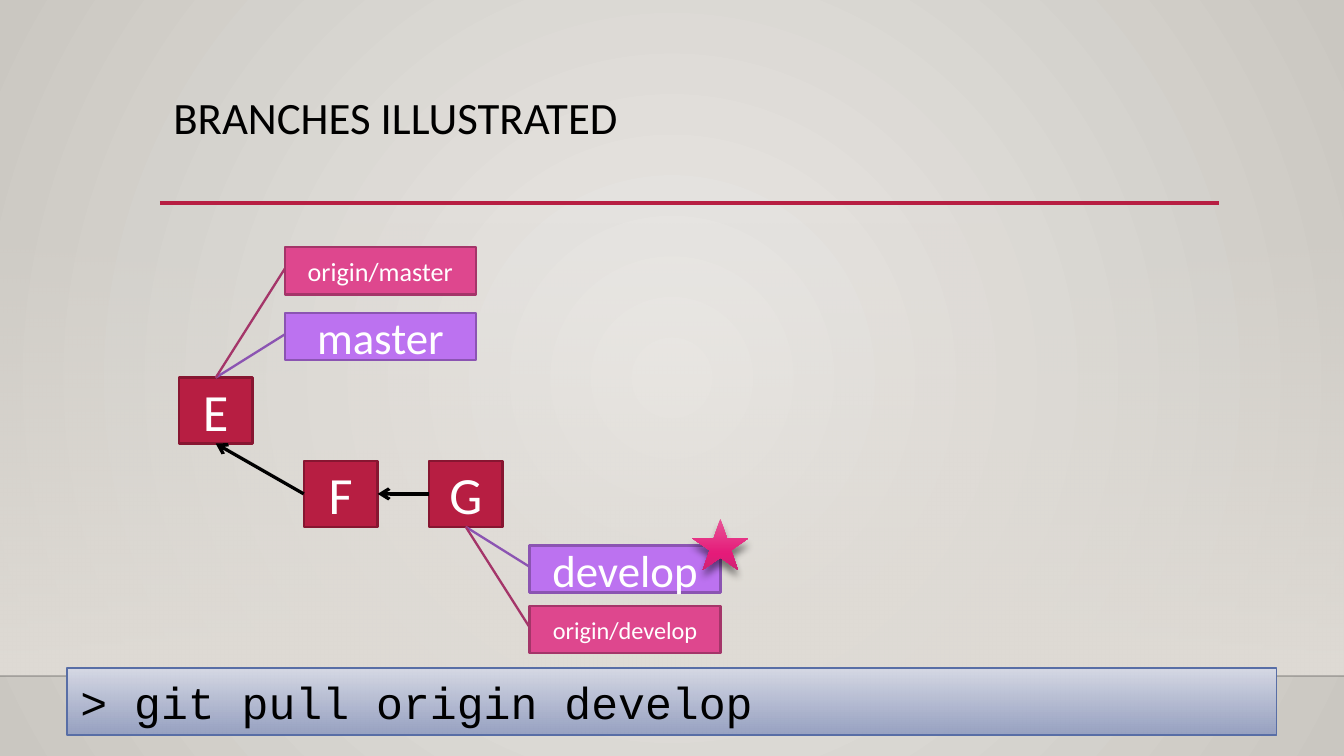
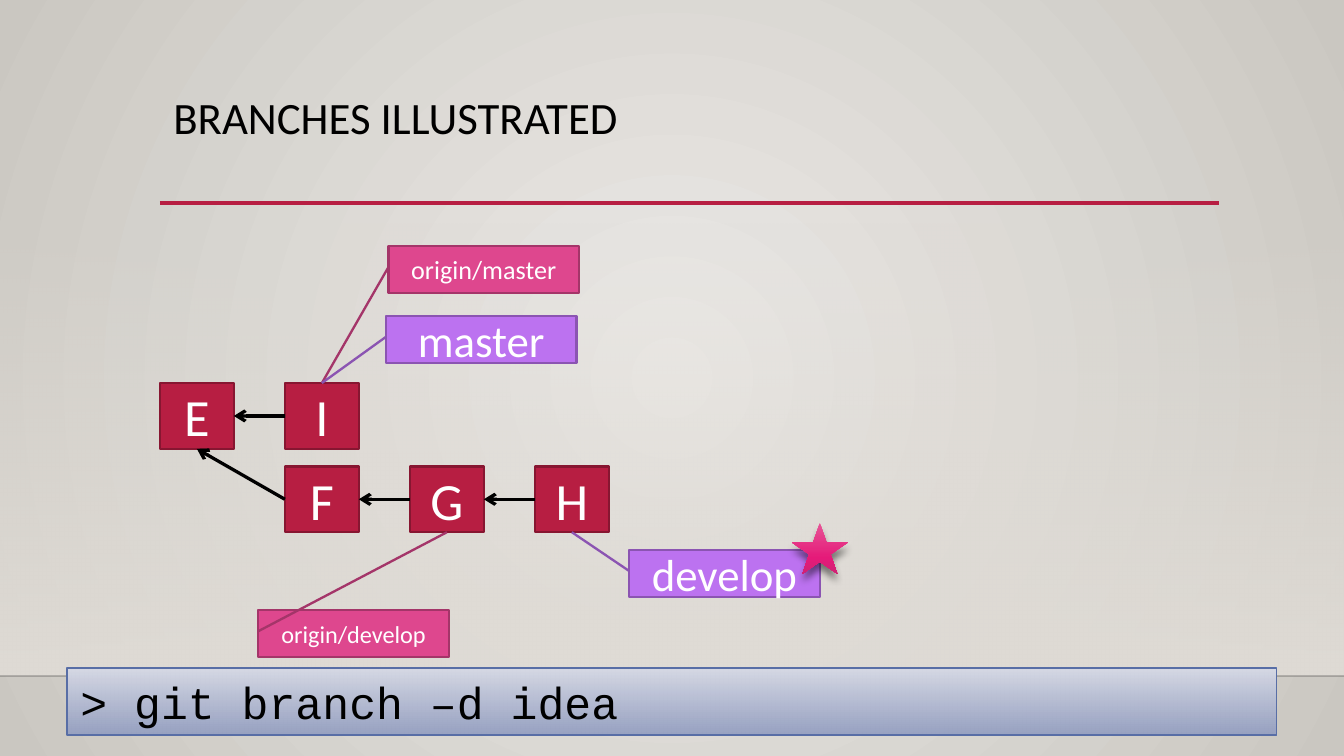
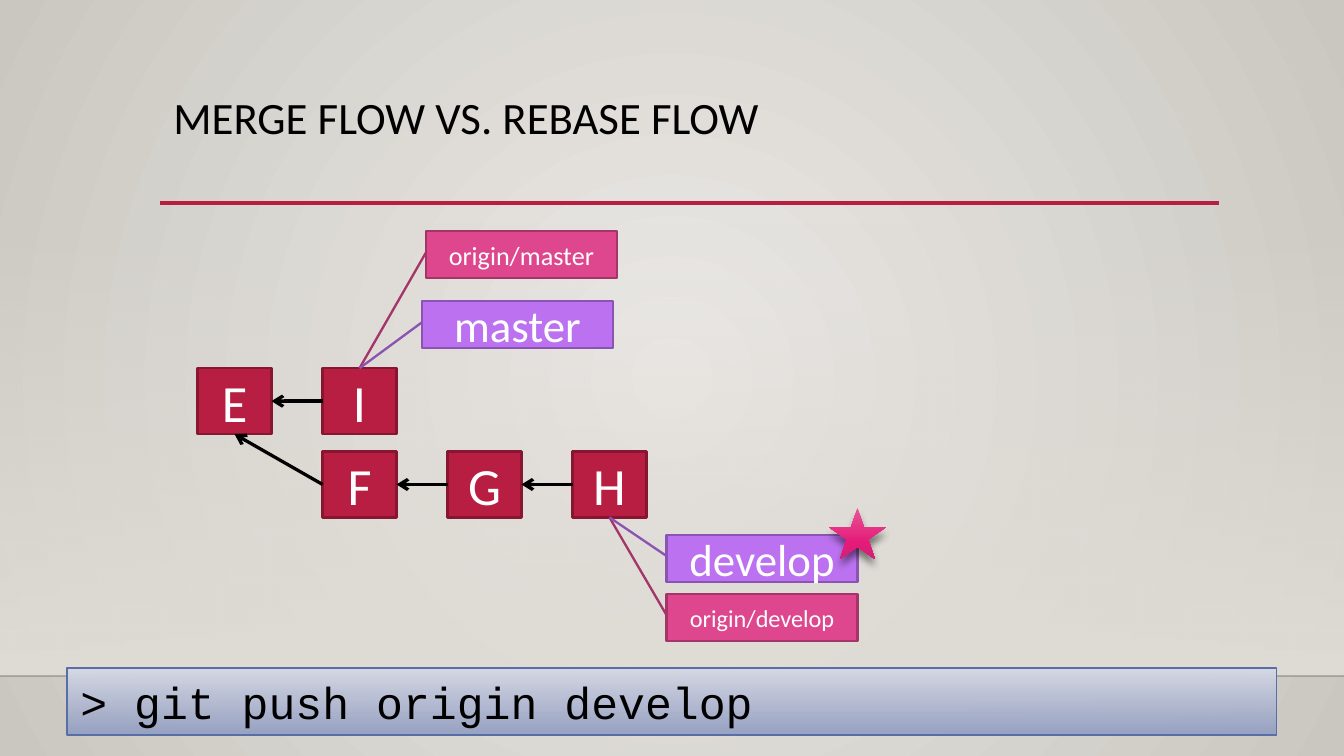
import pptx
import pptx.dml.color
import pptx.enum.shapes
import pptx.enum.text
import pptx.oxml.ns
import pptx.util
from lxml import etree

SHAPE = pptx.enum.shapes.MSO_SHAPE
ALIGN = pptx.enum.text.PP_ALIGN
ANCHOR = pptx.enum.text.MSO_ANCHOR
FIT = pptx.enum.text.MSO_AUTO_SIZE
TOP, LEFT, BOTTOM, RIGHT = range(4)

COLUMNS, ROWS = 100, 56.25
COLUMN_STEP, ROW_STEP = 9.3, 6.2
COMMIT_SIZE = (5.5, 4.9)
LABEL_SIZE = (14.2, 3.5)
LOCAL = ("BC72F0", "8B54B2")
REMOTE = ("DE478E", "A43569")
LABELS = {
    "master": (LOCAL, 24),
    "origin/master": (REMOTE, 14),
    "develop": (LOCAL, 24),
    "origin/develop": (REMOTE, 13),
}
GRAPH = {"E": (0, 0), "I": (1, 0), "F": (1, 1), "G": (2, 1), "H": (3, 1)}
PARENTS = {"I": "E", "F": "E", "G": "F", "H": "G"}

STAGES = [
    {
        "title": "BRANCHES ILLUSTRATED",
        "command": "> git pull origin develop",
        "origin": (13.3, 28.1),
        "commits": "EFG",
        "branches": [
            ("master", "E", 7.9, -4.8),
            ("origin/master", "E", 7.9, -9.7),
            ("develop", "G", 7.5, 6.3),
            ("origin/develop", "G", 7.5, 10.8),
        ],
    },
    {
        "title": "BRANCHES ILLUSTRATED",
        "command": "> git branch –d idea",
        "origin": (11.9, 28.5),
        "commits": "EIFGH",
        "branches": [
            ("origin/master", "I", 7.7, -10.2),
            ("master", "I", 7.5, -5),
            ("origin/develop", "G", -11.3, 10.7),
            ("develop", "H", 7, 6.2),
        ],
    },
    {
        "title": "MERGE FLOW VS. REBASE FLOW",
        "command": "> git push origin develop",
        "origin": (14.7, 27.4),
        "commits": "EIFGH",
        "branches": [
            ("origin/master", "I", 7.7, -10.2),
            ("master", "I", 7.4, -5),
            ("origin/develop", "H", 7, 10.6),
            ("develop", "H", 7, 6.2),
        ],
    },
]


def color(hex_code):
    return pptx.dml.color.RGBColor.from_string(hex_code)


def add_node(parent, tag, **attributes):
    node = etree.SubElement(parent, pptx.oxml.ns.qn(tag))
    for key, value in attributes.items():
        node.set(key, str(value))
    return node


def add_color(parent, hex_code, opacity=100):
    tint = add_node(parent, "a:srgbClr", val=hex_code)
    if opacity < 100:
        add_node(tint, "a:alpha", val=opacity * 1000)


def gradient(owner, fill, stops, radial=False):
    fill.gradient()
    grad = owner.element.find(".//" + pptx.oxml.ns.qn("a:gradFill"))
    for child in list(grad):
        grad.remove(child)
    stop_list = add_node(grad, "a:gsLst")
    for position, hex_code, opacity in stops:
        stop = add_node(stop_list, "a:gs", pos=position * 1000)
        add_color(stop, hex_code, opacity)
    if radial:
        circle = add_node(grad, "a:path", path="circle")
        add_node(circle, "a:fillToRect", l=50000, t=50000, r=50000, b=50000)
    else:
        add_node(grad, "a:lin", ang=5400000, scaled=0)


class Deck:
    def __init__(self):
        self.prs = pptx.Presentation()
        self.prs.slide_width = pptx.util.Inches(10)
        self.prs.slide_height = pptx.util.Inches(5.625)
        self.slide = None
        master = self.prs.slide_master
        gradient(master, master.background.fill,
                 [(0, "ECEAE7", 100), (100, "CAC7C1", 100)], radial=True)

    def x(self, columns):
        return round(self.prs.slide_width * columns / COLUMNS)

    def y(self, rows):
        return round(self.prs.slide_height * rows / ROWS)

    def box(self, left, top, width, height):
        return self.x(left), self.y(top), self.x(width), self.y(height)

    def label(self, shape, text, size, ink="FFFFFF", font="Calibri",
              align=ALIGN.CENTER, anchor=ANCHOR.MIDDLE):
        frame = shape.text_frame
        frame.word_wrap = True
        frame.vertical_anchor = anchor
        frame.text = text
        paragraph = frame.paragraphs[0]
        paragraph.alignment = align
        for run in paragraph.runs:
            run.font.size = pptx.util.Pt(size)
            run.font.name = font
            run.font.color.rgb = color(ink)

    def shape(self, kind, place, fill, outline=None, weight=1.25):
        shape = self.slide.shapes.add_shape(kind, *self.box(*place))
        shape.shadow.inherit = False
        if isinstance(fill, str):
            shape.fill.solid()
            shape.fill.fore_color.rgb = color(fill)
        else:
            gradient(shape, shape.fill, fill)
        if outline:
            shape.line.color.rgb = color(outline)
            shape.line.width = pptx.util.Pt(weight)
        else:
            shape.line.fill.background()
        return shape

    def line(self, start, end, hex_code, weight, opacity=100):
        line = self.slide.shapes.add_connector(
            pptx.enum.shapes.MSO_CONNECTOR.STRAIGHT,
            self.x(start[0]), self.y(start[1]), self.x(end[0]), self.y(end[1]))
        line.line.color.rgb = color(hex_code)
        line.line.width = pptx.util.Pt(weight)
        if opacity < 100:
            tint = line.element.spPr.find(".//" + pptx.oxml.ns.qn("a:srgbClr"))
            add_node(tint, "a:alpha", val=opacity * 1000)
        add_node(line.element.spPr, "a:effectLst")
        return line

    def start_slide(self, title):
        self.slide = self.prs.slides.add_slide(self.prs.slide_layouts[5])
        self.shape(SHAPE.RECTANGLE, (0, 16.6, 100, 33.7),
                   [(0, "DFDBD5", 0), (100, "DFDBD5", 100)])
        self.line((0, 50.3), (100, 50.3), "000001", 1, opacity=20)
        self.line((11.9, 15.1), (90.7, 15.1), "B71E42", 2.5)
        heading = self.slide.shapes.title
        heading.left, heading.top, heading.width, heading.height = self.box(
            11.9, 6.6, 78.8, 8.6)
        self.label(heading, title, 24, "000000", align=ALIGN.LEFT, anchor=ANCHOR.TOP)
        heading.text_frame.auto_size = FIT.NONE
        heading.text_frame.paragraphs[0].line_spacing = 0.9

    def commit(self, name, corner):
        commit = self.shape(SHAPE.RECTANGLE, corner + COMMIT_SIZE, "B71E42", "871631")
        self.label(commit, name, 28)
        return commit

    def parent_arrow(self, child, parent, parent_side):
        arrow = self.line((0, 0), (0, 0), "000000", 1.75)
        arrow.begin_connect(child, LEFT)
        arrow.end_connect(parent, parent_side)
        stroke = arrow.element.spPr.find(pptx.oxml.ns.qn("a:ln"))
        add_node(stroke, "a:tailEnd", type="arrow")

    def branch(self, name, corner, tip):
        (fill, outline), size = LABELS[name]
        branch = self.shape(SHAPE.LINE_CALLOUT_1, corner + LABEL_SIZE, fill, outline)
        pointer = (0.45, 0, (tip[1] - corner[1]) / LABEL_SIZE[1],
                   (tip[0] - corner[0]) / LABEL_SIZE[0])
        for index, value in enumerate(pointer):
            branch.adjustments[index] = value
        self.label(branch, name, size)

    def current_star(self, left, top):
        star = self.shape(SHAPE.STAR_5_POINT, (left, top, 4.2, 3.8),
                          [(0, "E75597", 100), (69, "E51A79", 100), (100, "CF2374", 100)])
        effects = star.element.spPr.find(pptx.oxml.ns.qn("a:effectLst"))
        shadow = add_node(effects, "a:outerShdw", blurRad=int(pptx.util.Pt(4)),
                          dist=int(pptx.util.Pt(4)), dir=5400000, rotWithShape=0)
        add_color(shadow, "000000", 48)

    def command(self, text):
        prompt = self.shape(SHAPE.RECTANGLE, (5, 49.7, 90, 5),
                            [(0, "D6D9E5", 100), (100, "929DC0", 92)], "586EA6", 0.75)
        self.label(prompt, text, 24, "000000", "Courier New", ALIGN.LEFT, ANCHOR.TOP)
        prompt.text_frame.auto_size = FIT.SHAPE_TO_FIT_TEXT

    def stage(self, title, command, origin, commits, branches):
        self.start_slide(title)
        corners = {name: (origin[0] + GRAPH[name][0] * COLUMN_STEP,
                          origin[1] + GRAPH[name][1] * ROW_STEP) for name in commits}
        nodes = {name: self.commit(name, corners[name]) for name in commits}
        for child in commits[1:]:
            parent = PARENTS[child]
            same_row = GRAPH[child][1] == GRAPH[parent][1]
            self.parent_arrow(nodes[child], nodes[parent], RIGHT if same_row else BOTTOM)
        for name, target, across, down in branches:
            left, top = corners[target]
            corner = (left + across, top + down)
            tip = (left + COMMIT_SIZE[0] / 2, top + (COMMIT_SIZE[1] if down > 0 else 0))
            self.branch(name, corner, tip)
            if name == "develop":
                self.current_star(corner[0] + 12.1, corner[1] - 2)
        self.command(command)


def main():
    deck = Deck()
    for stage in STAGES:
        deck.stage(**stage)
    deck.prs.save("out.pptx")


if __name__ == "__main__":
    main()
